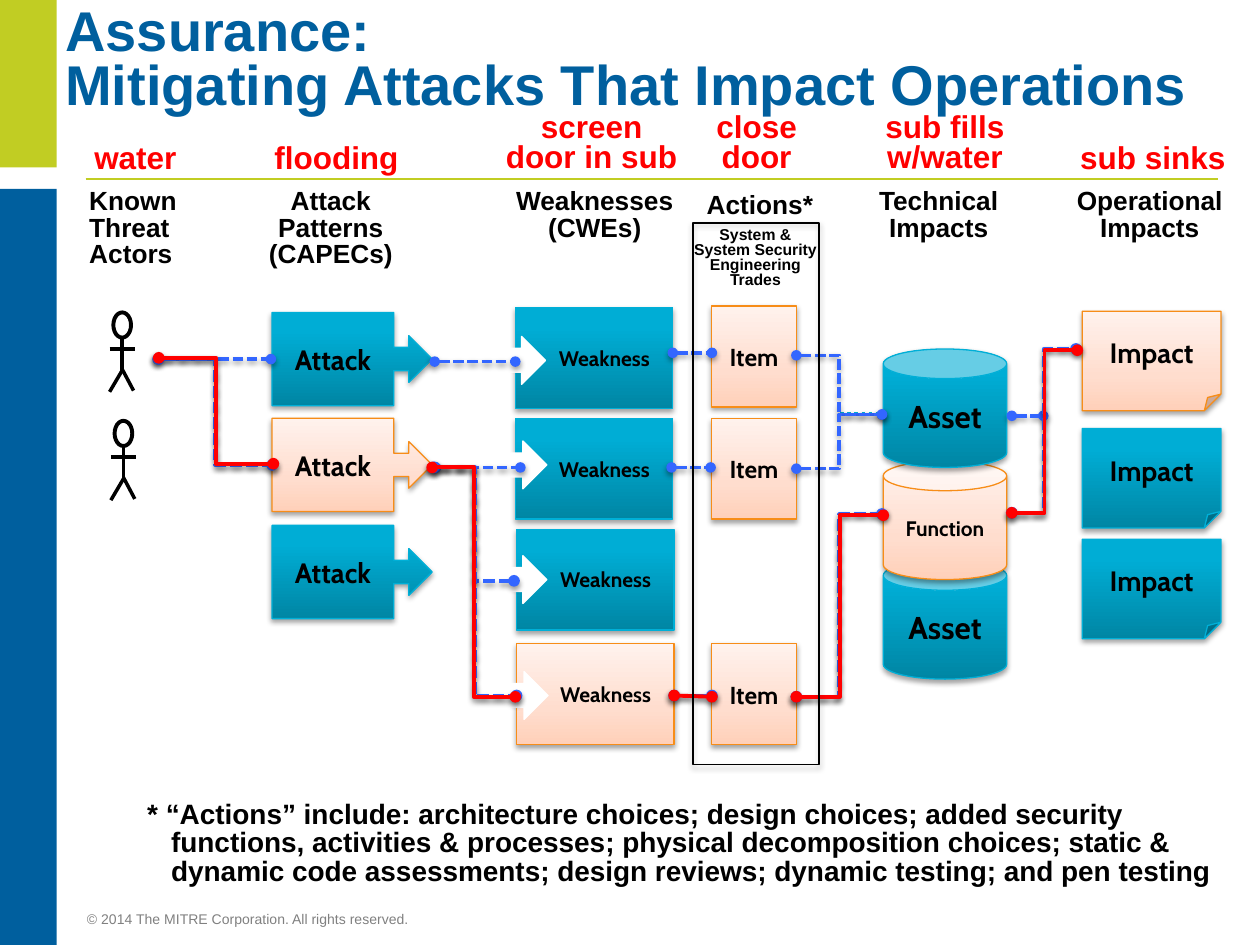
"""Build the slide that maps threat actors through weaknesses to operational impacts."""
from copy import deepcopy

from pptx import Presentation, util as u
from pptx.dml.color import RGBColor
from pptx.enum import dml, shapes, text
from pptx.oxml import parse_xml
from pptx.oxml.ns import nsdecls, qn

Inches = u.Inches


class Theme:
    sans, display = "Arial", "Cabin"
    black, white, gray = "000000", "FFFFFF", "808080"
    lime, navy, red, link, dots = "C1CD23", "005F9E", "FF0000", "3366FF", "00B3DC"
    teal = {"stops": [(0, "0086A4"), (0.8, "00ADD5"), (1, "00AED6")], "line": "00AFD7"}
    peach = {"stops": [(0, "FFD0B9"), (0.35, "FFDDCE"), (1, "FFF2ED")], "line": "F78D18"}
    title, tag, note, heading, trades, legal = 32, 18, 16, 15, 9, 8
    asset, attack, item, small = 18, 16, 14, 12


def write(frame, words, size, color, font=Theme.sans, bold=True, align=None, spacing=None):
    frame.text = words
    for paragraph in frame.paragraphs:
        paragraph.alignment = align
        paragraph.line_spacing = spacing
        for run in paragraph.runs:
            run.font.size = u.Pt(size)
            run.font.bold = bold
            run.font.name = font
            run.font.color.rgb = RGBColor.from_string(color)


def effects(opacity=0):
    glow = "" if not opacity else (
        '<a:outerShdw blurRad="40000" dist="22000" dir="5400000" rotWithShape="0">'
        f'<a:srgbClr val="000000"><a:alpha val="{opacity * 1000}"/></a:srgbClr></a:outerShdw>')
    return parse_xml(f'<a:effectLst {nsdecls("a")}>{glow}</a:effectLst>')


deck = Presentation()
deck.slide_width, deck.slide_height = Inches(10), Inches(7.5)
slide = deck.slides.add_slide(deck.slide_layouts[6])
canvas = slide.shapes
kind = shapes.MSO_SHAPE
straight, elbow = shapes.MSO_CONNECTOR.STRAIGHT, shapes.MSO_CONNECTOR.ELBOW
center = text.PP_ALIGN.CENTER
teal, peach = Theme.teal, Theme.peach

for top, height, color in [(0, 1.33, Theme.lime), (1.5, 6, Theme.navy)]:
    band = canvas.add_shape(kind.RECTANGLE, 0, Inches(top), Inches(0.45), Inches(height))
    band.shadow.inherit = False
    band.fill.solid()
    band.fill.fore_color.rgb = RGBColor.from_string(color)
    band.line.fill.background()

blocks = [(kind.RECTANGLE, x, y, 1.25, 0.8, look, "Weakness", Theme.small)
          for x, y, look in [(4.09, 2.44, teal), (4.09, 3.32, teal),
                             (4.1, 4.2, teal), (4.1, 5.11, peach)]]
blocks += [(kind.RECTANGLE, 5.65, y, 0.67, 0.8, peach, "Item", Theme.item)
           for y in (2.43, 3.32, 5.11)]
blocks += [(kind.RIGHT_ARROW_CALLOUT, 2.16, y, 1.27, 0.74, look, "Attack", Theme.attack)
           for y, look in [(2.48, teal), (3.32, peach), (4.17, teal)]]
blocks += [(kind.CAN, 7.01, y, 0.98, 0.94, look, words, size)
           for y, look, words, size in [(4.45, teal, "Asset", Theme.asset),
                                        (3.66, peach, "Function", Theme.small),
                                        (2.77, teal, "Asset", Theme.asset)]]
blocks += [(kind.FOLDED_CORNER, 8.59, y, 1.1, 0.79, look, "Impact", Theme.attack)
           for y, look in [(2.47, peach), (3.4, teal), (4.28, teal)]]

for form, x, y, width, height, look, words, size in blocks:
    block = canvas.add_shape(form, Inches(x), Inches(y), Inches(width), Inches(height))
    block.fill.gradient()
    block.fill.gradient_angle = 90
    properties = block._element.spPr
    stops = properties.find(qn("a:gradFill")).find(qn("a:gsLst"))
    stops.append(deepcopy(stops[-1]))
    for stop, (position, color) in zip(block.fill.gradient_stops, look["stops"]):
        stop.position = position
        stop.color.rgb = RGBColor.from_string(color)
    block.line.color.rgb = RGBColor.from_string(look["line"])
    block.line.width = u.Pt(0.75)
    properties.append(effects(36))
    block.text_frame.vertical_anchor = text.MSO_ANCHOR.MIDDLE
    write(block.text_frame, words, size, Theme.black, Theme.display, align=center)
    if words == "Weakness":
        block.text_frame.margin_left = Inches(0.26)
    if form == kind.RIGHT_ARROW_CALLOUT:
        block.adjustments[3] = 0.76

for x, y in [(3.66, 2.67), (3.67, 3.5), (3.67, 4.41), (3.68, 5.33)]:
    notch = canvas.add_shape(kind.RIGHT_ARROW, Inches(x), Inches(y), Inches(0.67), Inches(0.38))
    notch.shadow.inherit = False
    notch.fill.solid()
    notch.fill.fore_color.rgb = RGBColor.from_string(Theme.white)
    notch.line.color.rgb = RGBColor.from_string(Theme.white)
    notch.line.width = u.Pt(0.75)

plain = [(0.68, 1.42, 9.67, 1.42, Theme.lime, 1, None),
         (6.67, 3.28, 6.98, 3.28, Theme.dots, 2, dml.MSO_LINE.ROUND_DOT)]
for x, y in [(0.97, 2.48), (0.98, 3.34)]:
    head = canvas.add_shape(kind.OVAL, Inches(x - 0.07), Inches(y), Inches(0.14), Inches(0.2))
    head.shadow.inherit = False
    head.fill.background()
    head.line.color.rgb = RGBColor.from_string(Theme.black)
    head.line.width = u.Pt(2.25)
    plain += [(x, y + 0.2, x, y + 0.46, Theme.black, 2.25, None),
              (x - 0.1, y + 0.29, x + 0.1, y + 0.29, Theme.black, 2.25, None),
              (x, y + 0.46, x - 0.1, y + 0.63, Theme.black, 2, None),
              (x, y + 0.45, x + 0.09, y + 0.62, Theme.black, 2, None)]
for x1, y1, x2, y2, color, weight, dash in plain:
    stroke = canvas.add_connector(straight, Inches(x1), Inches(y1), Inches(x2), Inches(y2))
    stroke.line.color.rgb = RGBColor.from_string(color)
    stroke.line.width = u.Pt(weight)
    stroke.line.dash_style = dash
    stroke._element.spPr.append(effects())

dashed = [(straight, 5.35, 5.52, 5.65, 5.52, 2.25), (straight, 1.25, 2.85, 2.15, 2.85, 2),
          (straight, 5.34, 2.8, 5.65, 2.8, 2), (straight, 5.33, 3.71, 5.64, 3.71, 2),
          (straight, 3.46, 3.71, 4.13, 3.71, 2), (elbow, 1.26, 2.85, 2.16, 3.69, 2.25),
          (straight, 8.03, 3.3, 8.28, 3.3, 2), (elbow, 6.32, 5.53, 7, 4.08, 2.25),
          (elbow, 8.03, 4.07, 8.54, 2.77, 2.25), (elbow, 6.32, 2.82, 7, 3.29, 2),
          (elbow, 6.32, 3.72, 7, 3.29, 2), (elbow, 3.45, 3.71, 4.08, 4.61, 2.25),
          (elbow, 3.44, 3.71, 4.1, 5.52, 2.25), (straight, 3.45, 2.87, 4.09, 2.87, 2)]
attack_path = [(elbow, 1.26, 2.84, 2.17, 3.68, 2.25), (elbow, 3.43, 3.71, 4.09, 5.53, 2.25),
               (straight, 5.35, 5.52, 5.65, 5.53, 2.25), (elbow, 6.32, 5.53, 7.01, 4.09, 2.25),
               (elbow, 8.03, 4.07, 8.55, 2.78, 2.25)]
for color, dash, links in [(Theme.link, dml.MSO_LINE.SQUARE_DOT, dashed),
                           (Theme.red, None, attack_path)]:
    for form, x1, y1, x2, y2, weight in links:
        link = canvas.add_connector(form, Inches(x1), Inches(y1), Inches(x2), Inches(y2))
        link.line.color.rgb = RGBColor.from_string(color)
        link.line.width = u.Pt(weight)
        link.line.dash_style = dash
        for end in ("headEnd", "tailEnd"):
            link.line._get_or_add_ln().append(
                parse_xml(f'<a:{end} {nsdecls("a")} type="oval"/>'))
        link._element.spPr.append(effects(38))

trades_frame = canvas.add_shape(kind.RECTANGLE, Inches(5.5), Inches(1.77), Inches(1), Inches(4.3))
trades_frame.fill.background()
trades_frame.line.color.rgb = RGBColor.from_string(Theme.black)
trades_frame.line.width = u.Pt(0.75)
trades_frame._element.spPr.append(effects(35))

footnote = ("* “Actions” include: architecture choices; design choices; added security functions, "
            "activities & processes; physical decomposition choices; static & dynamic code "
            "assessments; design reviews; dynamic testing; and pen testing")
captions = [
    (0.42, 0.02, 9.58, 0.98, "Assurance:\nMitigating Attacks That Impact Operations",
     Theme.title, Theme.navy, None, 0.8, True),
    (5.4, 1.76, 1.19, 0.59, "System & System Security Engineering\nTrades",
     Theme.trades, Theme.black, center, 0.8, True),
    (1.07, 6.31, 8.74, 0.79, footnote, Theme.note, Theme.black, None, 0.85, True)]
captions += [(x, y, width, height, words, Theme.heading, Theme.black, align, 0.85, wrap)
             for x, y, width, height, words, align, wrap in [
                 (0.61, 1.45, 0.92, 0.75, "Known\nThreat\nActors", None, False),
                 (1.83, 1.45, 1.59, 0.75, "Attack Patterns\n(CAPECs)", center, True),
                 (3.99, 1.45, 1.46, 0.54, "Weaknesses\n(CWEs)", center, False),
                 (5.51, 1.48, 1.07, 0.32, "Actions*", None, False),
                 (6.87, 1.45, 1.16, 0.54, "Technical\nImpacts", center, False),
                 (8.29, 1.45, 1.67, 0.54, "Operational Impacts", center, True)]]
captions += [(x, y, width, height, words, Theme.tag, Theme.red, align, 0.8, wrap)
             for x, y, width, height, words, align, wrap in [
                 (0.65, 1.1, 0.86, 0.35, "water", None, False),
                 (2.08, 1.1, 1.2, 0.35, "flooding", None, False),
                 (3.87, 0.86, 1.65, 0.6, "screen\ndoor in sub", center, True),
                 (5.58, 0.86, 0.85, 0.6, "close door", center, True),
                 (6.73, 0.86, 1.54, 0.6, "sub fills\nw/water", center, True),
                 (8.38, 1.1, 1.54, 0.35, "sub sinks", center, True)]]
for x, y, width, height, words, size, color, align, spacing, wrap in captions:
    caption = canvas.add_textbox(Inches(x), Inches(y), Inches(width), Inches(height)).text_frame
    caption.word_wrap = wrap
    write(caption, words, size, color, align=align, spacing=spacing)
    if color == Theme.red:
        for paragraph in caption.paragraphs:
            paragraph.runs[0].font._element.find(qn("a:solidFill")).addnext(effects(43))
    if words == footnote:
        indent = caption.paragraphs[0]._p.get_or_add_pPr()
        indent.set("marL", str(Inches(0.19)))
        indent.set("indent", str(Inches(-0.19)))

legal = canvas.add_textbox(Inches(0.69), Inches(7.23), Inches(6.31), Inches(0.13)).text_frame
legal.margin_left = legal.margin_right = legal.margin_top = legal.margin_bottom = 0
legal.word_wrap = True
write(legal, "© 2014 The MITRE Corporation. All rights reserved.", Theme.legal, Theme.gray, bold=False)

deck.save("out.pptx")
